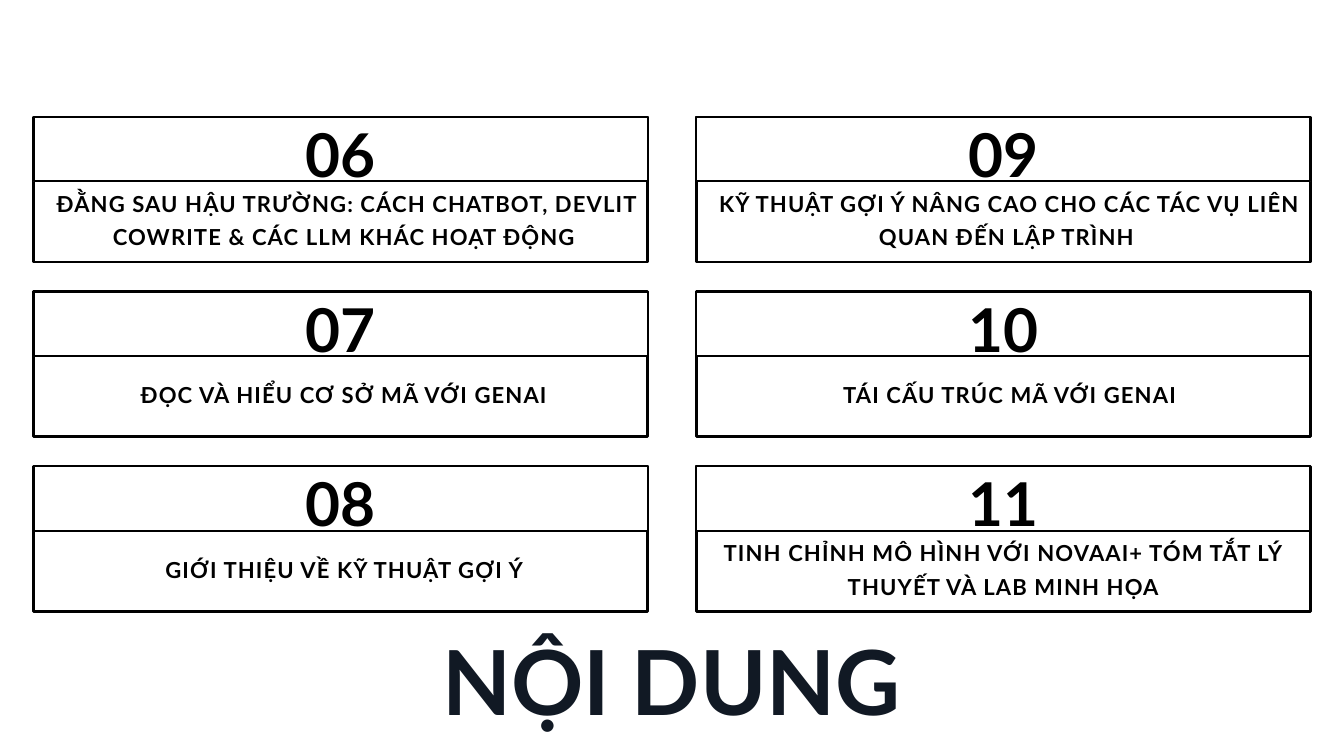
from dataclasses import dataclass

from pptx import Presentation
from pptx.dml.color import RGBColor
from pptx.enum.shapes import MSO_SHAPE
from pptx.enum.text import MSO_ANCHOR, PP_ALIGN
from pptx.slide import Slide
from pptx.util import Emu, Pt

RECTANGLE = MSO_SHAPE.RECTANGLE
TOP, MIDDLE = MSO_ANCHOR.TOP, MSO_ANCHOR.MIDDLE
CENTER = PP_ALIGN.CENTER

BLACK = RGBColor(0x00, 0x00, 0x00)
WHITE = RGBColor(0xFF, 0xFF, 0xFF)
NAVY = RGBColor(0x11, 0x19, 0x24)
FONT = "Lato"

EMU_PER_PX = 9144
SLIDE_WIDTH, SLIDE_HEIGHT = 2000, 1125
CARD_WIDTH, CARD_HEIGHT, HEADER_HEIGHT = 914, 216, 96
FIRST_LEFT, FIRST_TOP = 50, 174
COLUMN_PITCH, ROW_PITCH = 986, 260
ROWS = 3


@dataclass(frozen=True)
class Box:
    left: int
    top: int
    width: int
    height: int

    def emu(self) -> list[Emu]:
        return [Emu(px * EMU_PER_PX)
                for px in (self.left, self.top, self.width, self.height)]


@dataclass(frozen=True)
class Topic:
    number: str
    caption: str
    caption_inset: int = 18
    caption_width: int = 897


TOPICS = [
    Topic("06", "ĐẰNG SAU HẬU TRƯỜNG: CÁCH CHATBOT, DEVLIT "
                "COWRITE & CÁC LLM KHÁC HOẠT ĐỘNG "),
    Topic("07", "ĐỌC VÀ HIỂU CƠ SỞ MÃ VỚI GENAI "),
    Topic("08", "GIỚI THIỆU VỀ KỸ THUẬT GỢI Ý "),
    Topic("09", "KỸ THUẬT GỢI Ý NÂNG CAO CHO CÁC TÁC VỤ LIÊN "
                "QUAN ĐẾN LẬP TRÌNH "),
    Topic("10", "TÁI CẤU TRÚC MÃ VỚI GENAI"),
    Topic("11", "TINH CHỈNH MÔ HÌNH VỚI NOVAAI+ TÓM TẮT LÝ "
                "THUYẾT VÀ LAB MINH HỌA", 37, 840),
]


def add_text(slide: Slide, box: Box, text: str, *, size: float, leading: float,
             color: RGBColor = BLACK, tracking: float = 0,
             anchor: MSO_ANCHOR = TOP) -> None:
    frame = slide.shapes.add_textbox(*box.emu()).text_frame
    frame.word_wrap = True
    frame.vertical_anchor = anchor
    frame.margin_left = frame.margin_right = 0
    frame.margin_top = frame.margin_bottom = 0
    paragraph = frame.paragraphs[0]
    paragraph.alignment = CENTER
    paragraph.line_spacing = Pt(leading)
    run = paragraph.add_run()
    run.text = text
    run.font.name = FONT
    run.font.size = Pt(size)
    run.font.bold = True
    run.font.color.rgb = color
    if tracking:
        run._r.get_or_add_rPr().set("spc", str(round(tracking * 100)))


def add_frame(slide: Slide, box: Box, line_width: float, filled: bool) -> None:
    frame = slide.shapes.add_shape(RECTANGLE, *box.emu())
    frame.shadow.inherit = False
    if filled:
        frame.fill.solid()
        frame.fill.fore_color.rgb = WHITE
    else:
        frame.fill.background()
    frame.line.color.rgb = BLACK
    frame.line.width = Pt(line_width)


def add_card(slide: Slide, topic: Topic, left: int, top: int) -> None:
    add_frame(slide, Box(left, top, CARD_WIDTH, CARD_HEIGHT), 3, False)
    add_frame(slide, Box(left, top, CARD_WIDTH, HEADER_HEIGHT), 2.25, True)
    add_text(slide, Box(left + topic.caption_inset, top + 99, topic.caption_width, 99),
             topic.caption, size=23.6, leading=35.7, tracking=1.2, anchor=MIDDLE)
    add_text(slide, Box(left + 380, top - 24, 154, 127),
             topic.number, size=64.7, leading=95.1)


def main() -> None:
    deck = Presentation()
    deck.slide_width = Emu(SLIDE_WIDTH * EMU_PER_PX)
    deck.slide_height = Emu(SLIDE_HEIGHT * EMU_PER_PX)
    slide = deck.slides.add_slide(deck.slide_layouts[6])
    slide.background.fill.solid()
    slide.background.fill.fore_color.rgb = WHITE

    for index, topic in enumerate(TOPICS):
        column, row = divmod(index, ROWS)
        add_card(slide, topic, FIRST_LEFT + column * COLUMN_PITCH,
                 FIRST_TOP + row * ROW_PITCH)

    add_text(slide, Box(294, 940, 1411, 152), "NỘI DUNG",
             size=96.1, leading=108.6, color=NAVY)
    deck.save("out.pptx")


if __name__ == "__main__":
    main()
